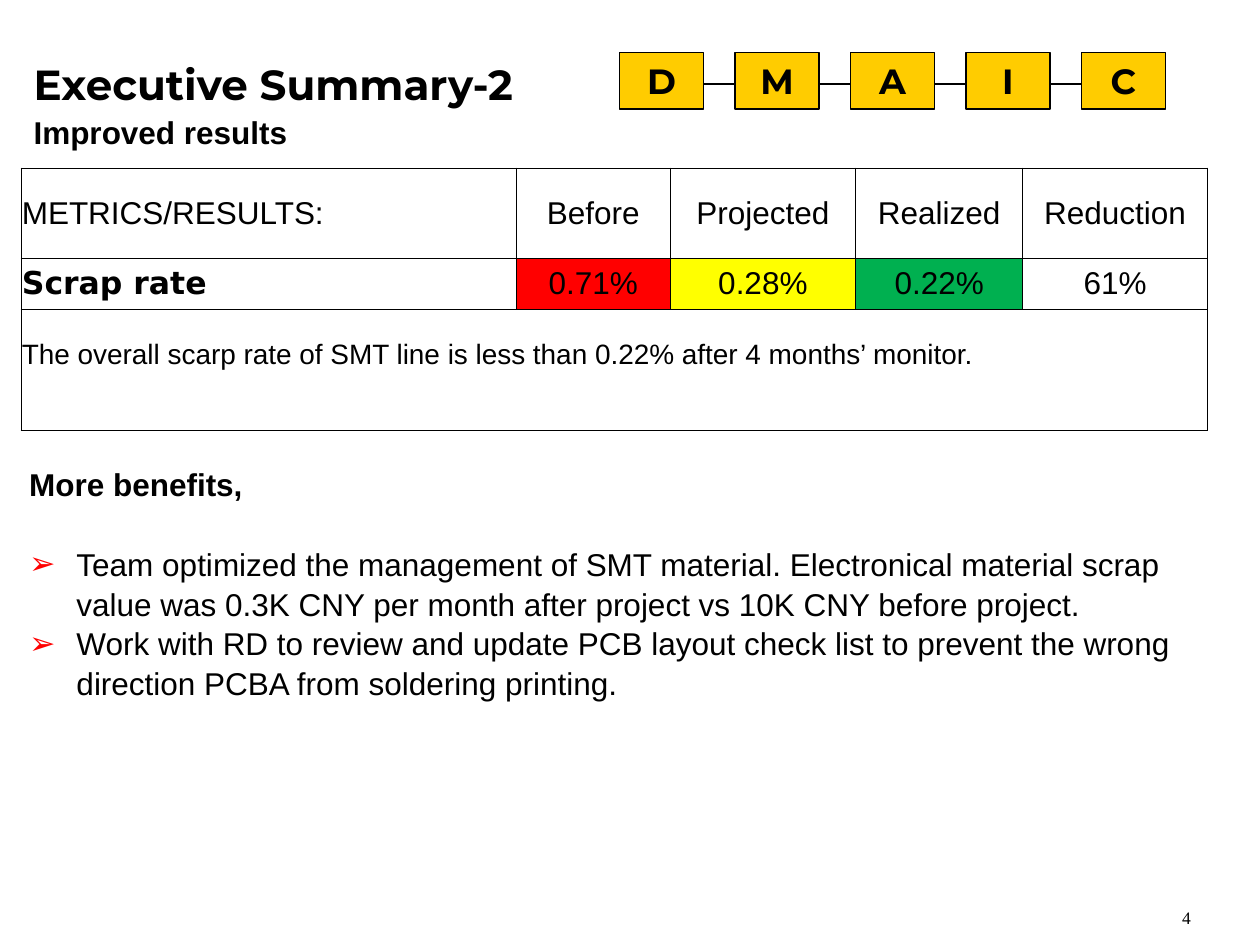
from lxml import etree
from pptx import Presentation
from pptx.dml.color import RGBColor
from pptx.enum import shapes, text
from pptx.oxml import ns
from pptx.util import Pt

INK = {
    "black": "000000",
    "gold": "FFCC00",
    "red": "FF0000",
    "yellow": "FFFF00",
    "green": "00B050",
}
LEFT, MID = text.PP_ALIGN.LEFT, text.PP_ALIGN.CENTER


def rgb(name):
    return RGBColor.from_string(INK[name])


def sub(node, tag, **attrs):
    return etree.SubElement(node, ns.qn(tag), attrs)


def place(shape, left, top, width, height):
    shape.left, shape.top = Pt(left), Pt(top)
    shape.width, shape.height = Pt(width), Pt(height)


def style(para, size, face="Arial", bold=False, align=LEFT, lead=1.0):
    para.alignment = align
    para.line_spacing = lead
    para.space_before = Pt(0)
    font = para.font
    font.size, font.name, font.bold = Pt(size), face, bold
    font.color.rgb = rgb("black")


def fill_in(shape, lines):
    frame = shape.text_frame
    frame.word_wrap = True
    frame.auto_size = text.MSO_AUTO_SIZE.NONE
    frame.vertical_anchor = text.MSO_ANCHOR.TOP
    frame.text = "\n".join(lines)
    return frame.paragraphs


def bullet(para, mark=None):
    props = para._p.get_or_add_pPr()
    indent = 27 if mark else 0
    props.set("marL", str(Pt(indent)))
    props.set("indent", str(Pt(-indent)))
    if mark:
        sub(sub(props, "a:buClr"), "a:srgbClr", val=INK["red"])
        sub(props, "a:buChar", char=mark)
    else:
        sub(props, "a:buNone")


def add_steps(slide):
    left, top, width, height, step = 354, 30, 48, 32.5, 66
    letters = "DMAIC"
    end = left + step * (len(letters) - 1) + width
    line = slide.shapes.add_connector(
        shapes.MSO_CONNECTOR.STRAIGHT, Pt(left), Pt(48), Pt(end), Pt(48))
    line.line.color.rgb = rgb("black")
    line.line.width = Pt(1.5)
    sub(line._element.spPr, "a:effectLst")
    for i, letter in enumerate(letters):
        box = slide.shapes.add_shape(
            shapes.MSO_SHAPE.RECTANGLE,
            Pt(left + i * step), Pt(top), Pt(width), Pt(height))
        box.shadow.inherit = False
        box.fill.solid()
        box.fill.fore_color.rgb = rgb("gold")
        box.line.color.rgb = rgb("black")
        box.line.width = Pt(1)
        box.text_frame.text = letter
        box.text_frame.vertical_anchor = text.MSO_ANCHOR.MIDDLE
        style(box.text_frame.paragraphs[0], 20, "Montserrat", True, MID)


def add_title(slide):
    title = slide.shapes.title
    place(title, 12, 24, 684, 72)
    head, tail = fill_in(title, ["Executive Summary-2", "Improved results"])
    style(head, 24, "Montserrat", True, lead=1.2)
    style(tail, 18, bold=True, lead=1.1)


def add_list(slide):
    body = slide.placeholders[1]
    place(body, 9.5, 260, 684, 210)
    head, *items = fill_in(body, [
        "More benefits,",
        "Team optimized the management of SMT material. Electronical material"
        " scrap value was 0.3K CNY per month after project vs 10K CNY before"
        " project.",
        "Work with RD to review and update PCB layout check list to prevent"
        " the wrong direction PCBA from soldering printing.",
    ])
    bullet(head)
    style(head, 18, bold=True, lead=1.1)
    for item in items:
        bullet(item, "➢")
        style(item, 18, lead=1.05)
    items[0].space_before = Pt(23)


def border(cell):
    props = cell._tc.get_or_add_tcPr()
    for side in ("a:lnL", "a:lnR", "a:lnT", "a:lnB"):
        line = sub(props, side, w=str(Pt(0.5)))
        sub(sub(line, "a:solidFill"), "a:srgbClr", val=INK["black"])


def set_cell(cell, words, align, fill=None):
    border(cell)
    if fill:
        cell.fill.solid()
        cell.fill.fore_color.rgb = rgb(fill)
    else:
        cell.fill.background()
    cell.margin_left = cell.margin_right = Pt(0.5)
    cell.margin_top = cell.margin_bottom = Pt(0)
    cell.vertical_anchor = text.MSO_ANCHOR.MIDDLE
    cell.text = words
    style(cell.text_frame.paragraphs[0], 18, align=align)


def add_grid(slide):
    rows = [
        ["METRICS/RESULTS:", "Before", "Projected", "Realized", "Reduction"],
        ["Scrap rate", "0.71%", "0.28%", "0.22%", "61%"],
        ["The overall scarp rate of SMT line is less than 0.22% after"
         " 4 months’ monitor.", "", "", "", ""],
    ]
    fills = {(1, 1): "red", (1, 2): "yellow", (1, 3): "green"}
    wide, high = [283, 88, 106, 95.5, 105.5], [51.5, 29.5, 69]
    grid = slide.shapes.add_table(
        len(high), len(wide), Pt(12), Pt(96),
        Pt(sum(wide)), Pt(sum(high))).table
    for col, width in zip(grid.columns, wide):
        col.width = Pt(width)
    for row, height in zip(grid.rows, high):
        row.height = Pt(height)
    for r, row in enumerate(rows):
        for c, words in enumerate(row):
            set_cell(grid.cell(r, c), words, MID if c else LEFT,
                     fills.get((r, c)))
    style(grid.cell(1, 0).text_frame.paragraphs[0], 18, "DejaVu Sans", True)
    note = grid.cell(2, 0)
    note.merge(grid.cell(2, 4))
    note.margin_bottom = Pt(17)
    style(note.text_frame.paragraphs[0], 16)


def add_page(slide):
    box = slide.shapes.add_textbox(Pt(648), Pt(515), Pt(60), Pt(19.5))
    (para,) = fill_in(box, ["4"])
    style(para, 10, "Times New Roman", align=MID)


def main():
    deck = Presentation()
    deck.slide_width, deck.slide_height = Pt(720), Pt(540)
    slide = deck.slides.add_slide(deck.slide_layouts[1])
    add_steps(slide)
    add_title(slide)
    add_page(slide)
    add_list(slide)
    add_grid(slide)
    deck.save("out.pptx")


if __name__ == "__main__":
    main()
